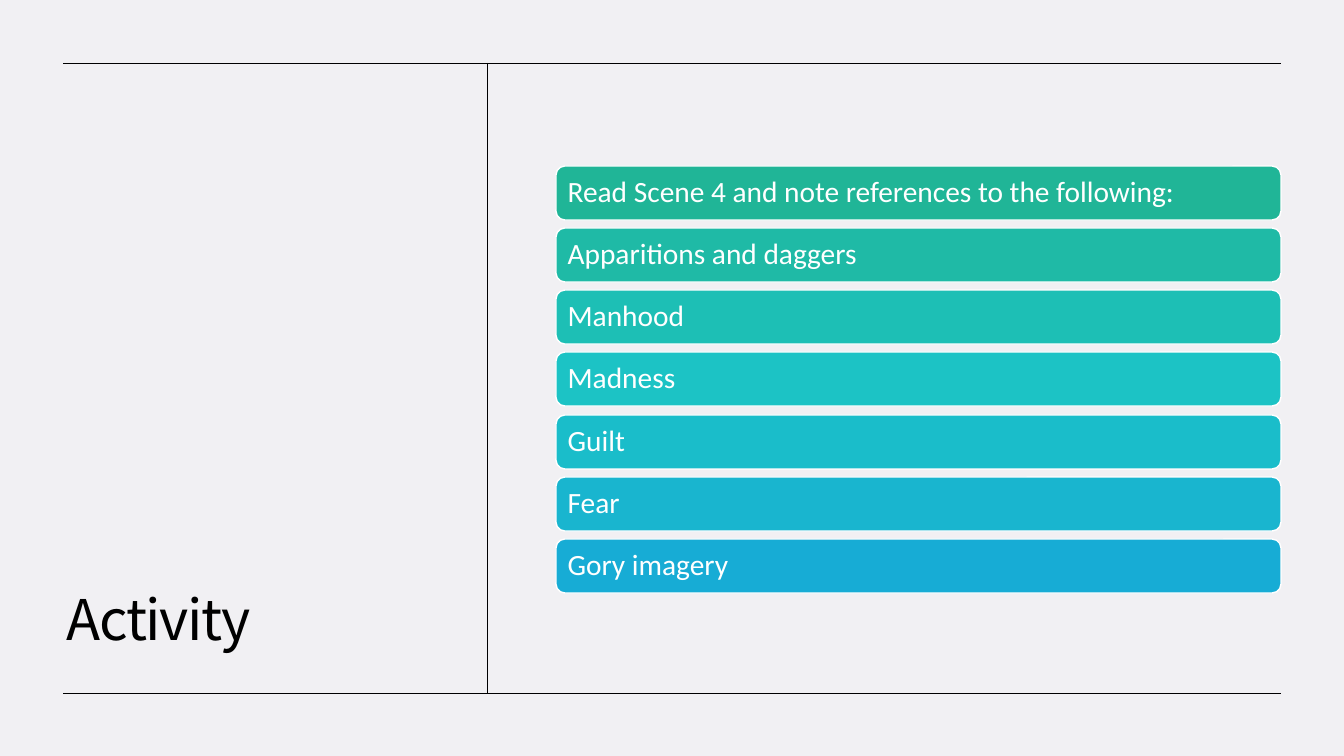
from pptx import Presentation
from pptx import util as u
from pptx.dml.color import RGBColor
from pptx.enum import shapes, text
from pptx.oxml.ns import qn
from lxml import etree

SCALE = 12192000 / 1344
BACKGROUND = RGBColor(0xF1, 0xF0, 0xF3)
BLACK = RGBColor(0, 0, 0)
WHITE = RGBColor(0xFF, 0xFF, 0xFF)
TOPICS = [
    ("Read Scene 4 and note references to the following:", RGBColor(0x20, 0xB5, 0x97)),
    ("Apparitions and daggers", RGBColor(0x1F, 0xBA, 0xA6)),
    ("Manhood", RGBColor(0x1D, 0xBF, 0xB5)),
    ("Madness", RGBColor(0x1C, 0xC3, 0xC5)),
    ("Guilt", RGBColor(0x1A, 0xBD, 0xCA)),
    ("Fear", RGBColor(0x19, 0xB5, 0xCF)),
    ("Gory imagery", RGBColor(0x17, 0xAC, 0xD5)),
]
LEFT, RIGHT, TOP, BOTTOM, DIVIDER = 63, 1281, 63, 693, 487
BAR_LEFT, BAR_TOP, BAR_HEIGHT, LAST_BAR_TOP = 556, 166, 54, 539


def px(n):
    return u.Emu(round(n * SCALE))


def write(frame, words, font_name, size, color):
    frame.word_wrap = True
    frame.text = words
    paragraph = frame.paragraphs[0]
    paragraph.alignment = text.PP_ALIGN.LEFT
    paragraph.line_spacing = 0.9
    run = paragraph.runs[0]
    run.font.name = font_name
    run.font.size = u.Pt(size)
    run.font.color.rgb = color
    return run


deck = Presentation()
deck.slide_width, deck.slide_height = px(1344), px(756)
slide = deck.slides.add_slide(deck.slide_layouts[6])
slide.background.fill.solid()
slide.background.fill.fore_color.rgb = BACKGROUND

title = slide.shapes.add_textbox(px(57), px(100), px(386), px(558))
title.text_frame.vertical_anchor = text.MSO_ANCHOR.BOTTOM
heading = write(title.text_frame, "Activity", "Noto Sans CJK KR", 40, BLACK)
heading._r.get_or_add_rPr().set("spc", "-100")

for x1, y1, x2, y2 in [
    (RIGHT, BOTTOM, LEFT, BOTTOM),
    (DIVIDER, TOP, DIVIDER, BOTTOM),
    (RIGHT, TOP, LEFT, TOP),
]:
    rule = slide.shapes.add_connector(
        shapes.MSO_CONNECTOR.STRAIGHT, px(x1), px(y1), px(x2), px(y2))
    rule.line.color.rgb = BLACK
    rule.line.width = u.Pt(0.5)
    etree.SubElement(rule._element.spPr, qn("a:effectLst"))

pitch = (LAST_BAR_TOP - BAR_TOP) / (len(TOPICS) - 1)
for i, (topic, color) in enumerate(TOPICS):
    bar = slide.shapes.add_shape(
        shapes.MSO_SHAPE.ROUNDED_RECTANGLE,
        px(BAR_LEFT), px(round(BAR_TOP + i * pitch)), px(RIGHT - BAR_LEFT), px(BAR_HEIGHT))
    bar.shadow.inherit = False
    bar.fill.solid()
    bar.fill.fore_color.rgb = color
    bar.line.color.rgb = WHITE
    bar.line.width = u.Pt(1)
    frame = bar.text_frame
    frame.vertical_anchor = text.MSO_ANCHOR.MIDDLE
    frame.margin_left = frame.margin_right = px(9)
    frame.margin_top = frame.margin_bottom = px(9)
    write(frame, topic, "Calibri", 21, WHITE)

deck.save("out.pptx")
